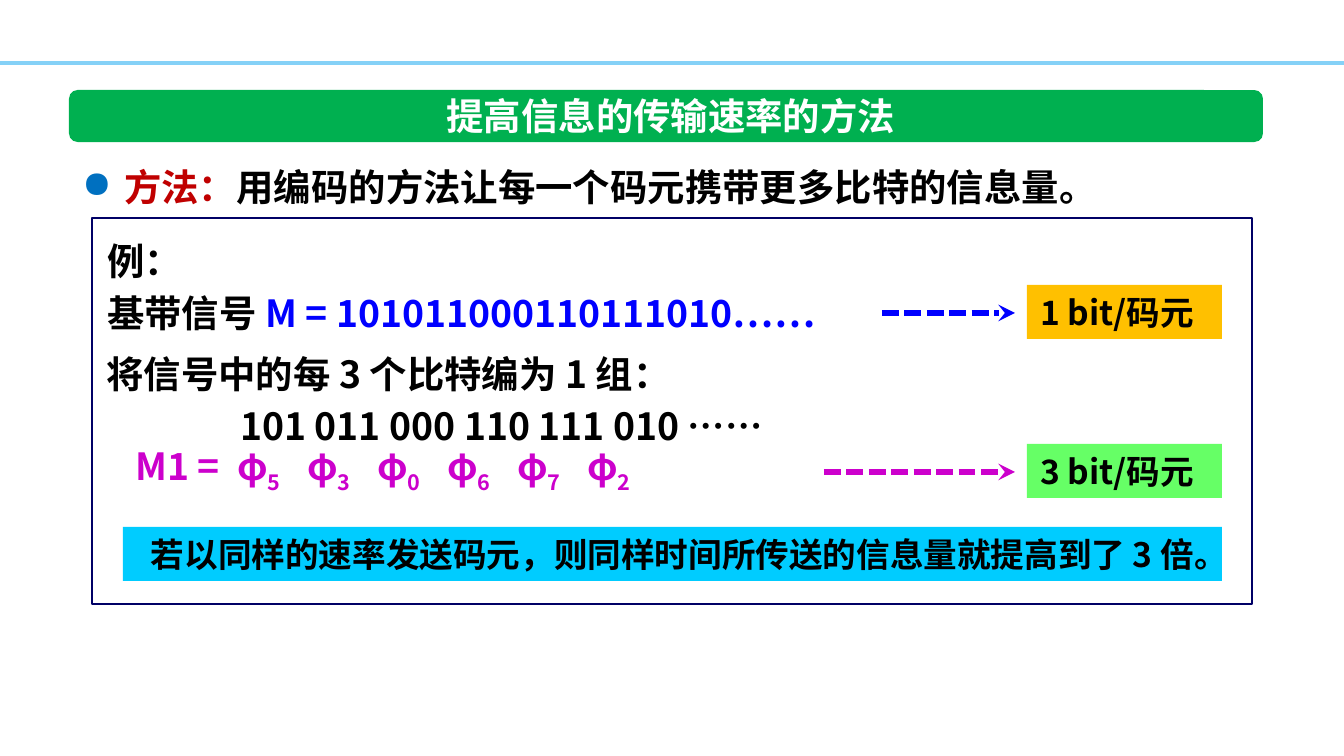
from typing import NamedTuple

from lxml.etree import SubElement
from pptx import Presentation
from pptx.dml.color import RGBColor
from pptx.enum.dml import MSO_LINE_DASH_STYLE as Dash
from pptx.enum.shapes import MSO_CONNECTOR as Connector, MSO_SHAPE as Shape
from pptx.enum.text import MSO_ANCHOR as Anchor, MSO_AUTO_SIZE as AutoSize, PP_ALIGN as Align
from pptx.oxml.ns import qn
from pptx.util import Emu, Pt

FONT = "Noto Sans CJK SC"
SCALE = 914400 / 134.4
BLACK = RGBColor(0x00, 0x00, 0x00)
WHITE = RGBColor(0xFF, 0xFF, 0xFF)
SKY = RGBColor(0x85, 0xD1, 0xF7)
GREEN = RGBColor(0x00, 0xB0, 0x50)
RED = RGBColor(0xC0, 0x00, 0x00)
BULLET_BLUE = RGBColor(0x00, 0x70, 0xC0)
NAVY = RGBColor(0x00, 0x00, 0x66)
BLUE = RGBColor(0x00, 0x00, 0xFF)
MAGENTA = RGBColor(0xCC, 0x00, 0xCC)
AMBER = RGBColor(0xFF, 0xC0, 0x00)
LIME = RGBColor(0x66, 0xFF, 0x66)
CYAN = RGBColor(0x00, 0xCC, 0xFF)


class Box(NamedTuple):
    left: int
    top: int
    width: int
    height: int


class Piece(NamedTuple):
    text: str
    color: RGBColor = BLACK
    baseline: int = 0


class Rate(NamedTuple):
    """A bit rate label and the arrow that leads to it."""
    text: str
    top: int
    fill: RGBColor
    arrow_left: int
    arrow_color: RGBColor


RATES = [
    Rate("1 bit/码元", 285, AMBER, 882, BLUE),
    Rate("3 bit/码元", 444, LIME, 824, MAGENTA),
]


def px(n: int) -> Emu:
    return Emu(round(n * SCALE))


def emus(box: Box) -> list[Emu]:
    return [px(n) for n in box]


def apply(target, **values) -> None:
    for name, value in values.items():
        setattr(target, name, value)


def write(p, pieces: list[Piece], size: int = 20, **paragraph_format) -> None:
    apply(p, **paragraph_format)
    for piece in pieces:
        r = p.add_run()
        r.text = piece.text
        r.font.color.rgb = piece.color
        apply(r.font, name=FONT, size=Pt(size), bold=True)
        rpr = r.font._element
        SubElement(rpr, qn("a:ea"), typeface=FONT)
        if piece.baseline:
            rpr.set("baseline", str(piece.baseline))


def add_text(s, box: Box, lines: list[list[Piece]], spacing: int | None = None):
    tf = s.shapes.add_textbox(*emus(box)).text_frame
    tf.word_wrap = True
    for i, pieces in enumerate(lines):
        p = tf.add_paragraph() if i else tf.paragraphs[0]
        write(p, pieces, line_spacing=Pt(spacing) if spacing else None)
    return tf


def add_block(s, box: Box, fill: RGBColor | None = None, kind=Shape.RECTANGLE):
    sp = s.shapes.add_shape(kind, *emus(box))
    sp.shadow.inherit = False
    if fill is None:
        sp.fill.background()
    else:
        sp.fill.solid()
        sp.fill.fore_color.rgb = fill
    sp.line.fill.background()
    return sp


def add_label(s, box: Box, text: str, fill: RGBColor, align=Align.LEFT) -> None:
    tf = add_block(s, box, fill).text_frame
    apply(tf, word_wrap=True, vertical_anchor=Anchor.MIDDLE)
    write(tf.paragraphs[0], [Piece(text)], size=18, alignment=align)


def add_line(s, left: int, right: int, y: int, color: RGBColor, width: int):
    line = s.shapes.add_connector(Connector.STRAIGHT, px(left), px(y), px(right), px(y))
    line.line.color.rgb = color
    line.line.width = Pt(width)
    SubElement(line._element.spPr, qn("a:effectLst"))
    return line


def add_rate(s, rate: Rate) -> None:
    box = Box(1027, rate.top, 195, 54)
    add_label(s, box, rate.text, rate.fill)
    arrow = add_line(s, rate.arrow_left, 1015, rate.top + 28, rate.arrow_color, 3)
    arrow.line.dash_style = Dash.SQUARE_DOT
    ln = arrow.line._get_or_add_ln()
    ln.find(qn("a:prstDash")).set("val", "sysDash")
    SubElement(ln, qn("a:tailEnd"), type="stealth")


def add_title(s, text: str) -> None:
    bar = add_block(s, Box(69, 90, 1194, 52), GREEN, Shape.ROUNDED_RECTANGLE)
    title = s.shapes.title
    bar._element.addnext(title._element)
    box = Box(184, 90, 974, 52)
    apply(title, **dict(zip(Box._fields, emus(box))))
    tf = title.text_frame
    apply(tf, auto_size=AutoSize.NONE, word_wrap=True, vertical_anchor=Anchor.MIDDLE)
    write(tf.paragraphs[0], [Piece(text, WHITE)], alignment=Align.CENTER)


def add_bullet(p, color: RGBColor, indent: int) -> None:
    ppr = p._p.get_or_add_pPr()
    ppr.set("marL", str(px(indent)))
    ppr.set("indent", str(-px(indent)))
    SubElement(SubElement(ppr, qn("a:buClr")), qn("a:srgbClr"), val=str(color))
    SubElement(ppr, qn("a:buChar"), char="●")


def add_symbols(s, indices: str) -> None:
    """Write the M1 row, with each symbol on its own tab stop."""
    pieces = [Piece("M1 =", MAGENTA)]
    for index in indices:
        pieces += [Piece("\tφ", MAGENTA), Piece(index, MAGENTA, -25000)]
    tf = add_text(s, Box(122, 437, 720, 59), [pieces])
    tabs = SubElement(tf.paragraphs[0]._p.get_or_add_pPr(), qn("a:tabLst"))
    for i in range(len(indices)):
        SubElement(tabs, qn("a:tab"), pos=str(px(102 + 70 * i)), algn="l")


def main() -> None:
    prs = Presentation()
    apply(prs, slide_width=px(1344), slide_height=px(756))
    s = prs.slides.add_slide(prs.slide_layouts[5])

    add_line(s, 0, 1344, 63, SKY, 2)
    add_title(s, "提高信息的传输速率的方法")
    method = [Piece("方法：", RED), Piece("用编码的方法让每一个码元携带更多比特的信息量。")]
    tf = add_text(s, Box(69, 141, 1194, 70), [method], spacing=33)
    add_bullet(tf.paragraphs[0], BULLET_BLUE, 42)

    frame = add_block(s, Box(92, 218, 1160, 386))
    frame.line.color.rgb = NAVY
    frame.line.width = Pt(1)

    signal = [Piece("基带信号 "), Piece("M = 101011000110111010……", BLUE)]
    add_text(s, Box(94, 224, 777, 120), [[Piece("例：")], signal], spacing=28)
    groups = [[Piece("将信号中的每 3 个比特编为 1 组：")], [Piece("101 011 000 110 111 010 ……")]]
    tf = add_text(s, Box(93, 337, 933, 120), groups, spacing=28)
    tf.paragraphs[1]._p.get_or_add_pPr().set("marL", str(px(134)))
    add_symbols(s, "530672")

    for rate in RATES:
        add_rate(s, rate)
    add_label(s, Box(123, 527, 1099, 54),
              "若以同样的速率发送码元，则同样时间所传送的信息量就提高到了 3 倍。", CYAN, Align.CENTER)
    prs.save("out.pptx")


if __name__ == "__main__":
    main()
